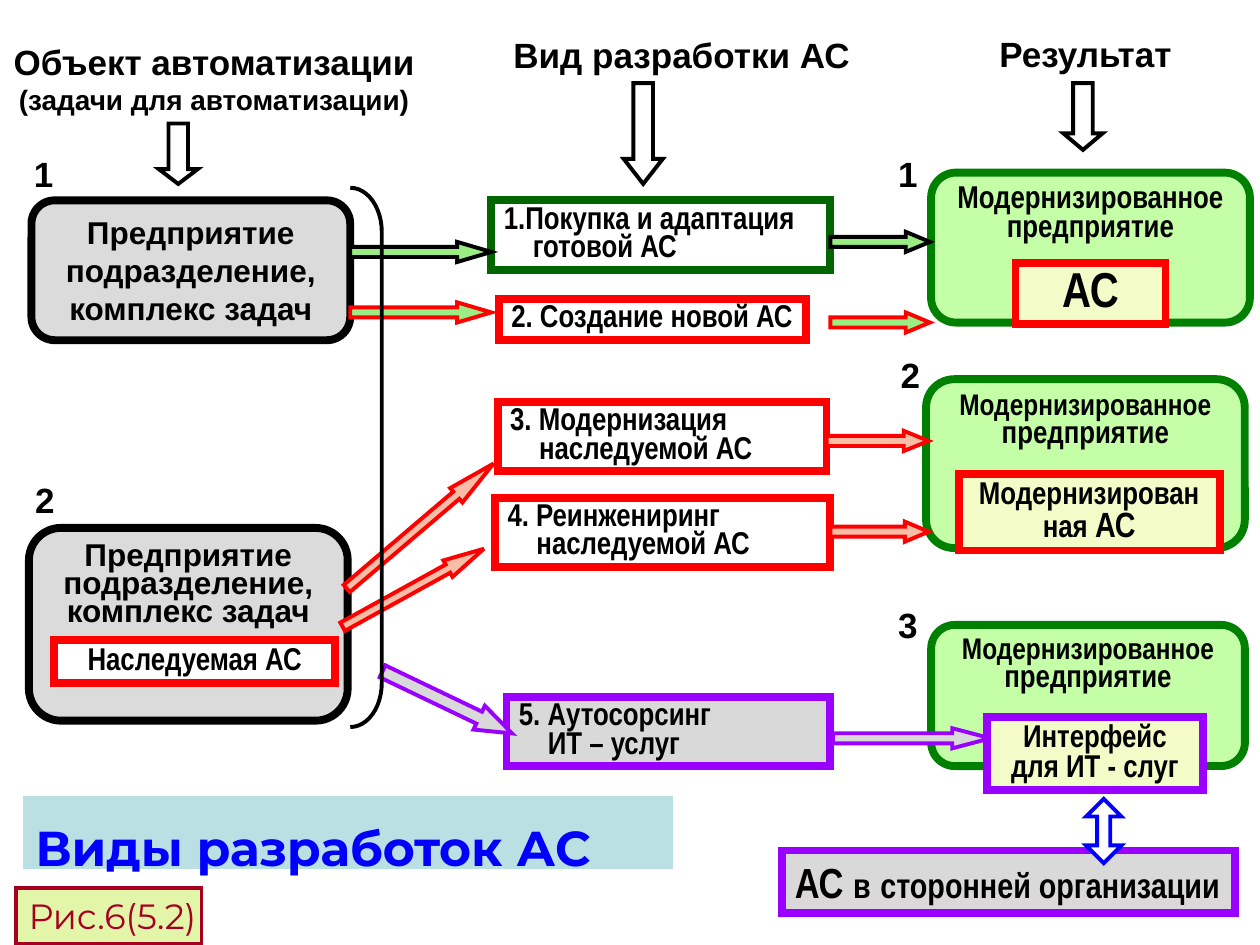
from lxml.etree import SubElement
from pptx import Presentation
from pptx.dml.color import RGBColor
from pptx.enum.shapes import MSO_SHAPE as Shape
from pptx.enum.text import MSO_ANCHOR as Anchor, MSO_AUTO_SIZE as AutoSize, PP_ALIGN as Align
from pptx.oxml.ns import qn
from pptx.util import Inches, Pt

COLORS = {
    "black": "000000", "white": "FFFFFF", "red": "FF0000", "blue": "0000FF",
    "purple": "9900FF", "green": "008000", "dark_green": "006600", "maroon": "A50021",
    "gray": "DBDBDB", "light_gray": "D9D9D9", "mint": "C4FFA7", "leaf": "9AED83",
    "cream": "F3FCC8", "peach": "F8BDA6", "lime": "E3F5A9", "teal": "BBE0E3",
}
NARROW = "Arial Narrow"


def rgb(name):
    """Return the palette colour with this name."""
    return RGBColor.from_string(COLORS[name])


def paint(shape, fill, line, width):
    """Set the fill and the sharp-cornered outline of a shape."""
    if fill:
        shape.fill.solid()
        shape.fill.fore_color.rgb = rgb(fill)
    else:
        shape.fill.background()
    shape.line.color.rgb = rgb(line)
    shape.line.width = Pt(width)
    SubElement(shape._element.spPr.find(qn("a:ln")), qn("a:miter"), lim="800000")


def write(shape, paragraphs, font=NARROW, align=Align.LEFT, spacing=1.0, wrap=True,
          color="black", bold=True, indent=0):
    """Write paragraphs of (text, size) runs, indenting those after the first."""
    frame = shape.text_frame
    frame.word_wrap = wrap
    frame.auto_size = AutoSize.NONE
    frame.vertical_anchor = Anchor.TOP
    for index, runs in enumerate(paragraphs):
        paragraph = frame.paragraphs[0] if index == 0 else frame.add_paragraph()
        paragraph.alignment = align
        paragraph.line_spacing = spacing
        if index and indent:
            paragraph._p.get_or_add_pPr().set("marL", str(Inches(indent)))
        for text, size in runs:
            run = paragraph.add_run()
            run.text = text
            run.font.name = font
            run.font.size = Pt(size)
            run.font.bold = bold
            run.font.color.rgb = rgb(color)


def add_preset(slide, kind, place, fill, line, width, adjustments=(), rotation=0):
    """Add a flat preset shape."""
    shape = slide.shapes.add_shape(kind, *map(Inches, place))
    shape.shadow.inherit = False
    shape.rotation = rotation
    for index, value in enumerate(adjustments):
        shape.adjustments[index] = value
    paint(shape, fill, line, width)
    return shape


def add_box(slide, place, fill, line, paragraphs, kind=Shape.RECTANGLE, width=4.5, **style):
    """Add a thickly framed box with text."""
    write(add_preset(slide, kind, place, fill, line, width), paragraphs, **style)


def add_label(slide, place, paragraphs, align=Align.LEFT):
    """Add a free-standing bold caption."""
    label = slide.shapes.add_textbox(*map(Inches, place))
    write(label, paragraphs, font="Arial", align=align, wrap=False)


def add_arrow(slide, place, fill, line, head, kind=Shape.RIGHT_ARROW, rotation=0):
    """Add a block arrow whose head length is relative to its thickness."""
    add_preset(slide, kind, place, fill, line, 2.25, (0.5, head), rotation)


def add_title(slide):
    """Place and format the title."""
    title = slide.shapes.title
    title.left, title.top, title.width, title.height = map(Inches, (0.18, 6.31, 5.17, 0.59))
    paint(title, "teal", "white", 0.75)
    write(title, [[("Виды разработок АС", 28)]], font="Montserrat", spacing=0.75, color="blue")
    title.text_frame.margin_top = Inches(0.29)
    title.text_frame.margin_bottom = 0


def add_headings(slide):
    """Add the column headings with the arrows below and the item numbers."""
    headings = [
        ((0, 0.27, 3.4, 0.7), [[("Объект автоматизации", 20)], [("(задачи для автоматизации)", 16)]]),
        ((3.97, 0.22, 2.88, 0.44), [[("Вид разработки АС", 20)]]),
        ((7.81, 0.21, 1.61, 0.44), [[("Результат", 20)]]),
    ]
    for place, paragraphs in headings:
        add_label(slide, place, paragraphs, Align.CENTER)
    for left, top, height, head in [(1.26, 0.98, 0.48, 0.38), (4.95, 0.66, 0.8, 0.64),
                                    (8.44, 0.66, 0.53, 0.42)]:
        add_arrow(slide, (left, top, 0.31, height), "white", "black", head, Shape.DOWN_ARROW)
    for number, left, top in [("1", 0.17, 1.16), ("2", 0.18, 3.75), ("1", 7.03, 1.16),
                              ("2", 7.05, 2.76), ("3", 7.03, 4.74)]:
        add_label(slide, (left, top, 0.35, 0.44), [[(number, 20)]])


def add_objects(slide):
    """Add the enterprises that are to be automated."""
    enterprise = [[("Предприятие", 18)], [("подразделение, комплекс задач", 18)]]
    for place, spacing in [((0.25, 1.59, 2.53, 1.11), 1.0), ((0.23, 4.19, 2.53, 1.53), 0.75)]:
        add_box(slide, place, "gray", "black", enterprise, Shape.ROUNDED_RECTANGLE,
                font="Arial", align=Align.CENTER, spacing=spacing)
    add_box(slide, (0.43, 5.08, 2.23, 0.34), "white", "red", [[("Наследуемая АС", 18)]],
            align=Align.CENTER, spacing=0.8)


def add_developments(slide):
    """Add the five kinds of development."""
    developments = [
        ((3.9, 1.59, 2.69, 0.55), None, "dark_green", ["1.Покупка и адаптация", "готовой АС"]),
        ((3.96, 2.37, 2.44, 0.33), None, "red", ["2. Создание новой АС"]),
        ((3.95, 3.19, 2.61, 0.55), None, "red", ["3. Модернизация", "наследуемой АС"]),
        ((3.93, 3.95, 2.66, 0.55), None, "red", ["4. Реинжениринг", "наследуемой АС"]),
        ((4.02, 5.53, 2.57, 0.55), "light_gray", "purple", ["5. Аутосорсинг", "ИТ – услуг"]),
    ]
    for place, fill, line, texts in developments:
        add_box(slide, place, fill, line, [[(text, 18)] for text in texts],
                spacing=0.75, indent=0.23, wrap=len(texts) > 1)


def add_results(slide):
    """Add the modernised enterprises with their systems."""
    results = [
        ((7.39, 1.37, 2.53, 1.19), 18, (8.06, 2.09, 1.19, 0.48), "red", [("АС", 28)]),
        ((7.35, 3.01, 2.53, 1.34), 17, (7.61, 3.76, 2.07, 0.61), "red",
         [("Модернизированная ", 18), ("АС", 20)]),
        ((7.39, 4.96, 2.49, 1.12), 17, (7.83, 5.69, 1.72, 0.58), "purple",
         [("Интерфейс для ИТ - слуг", 18)]),
    ]
    for place, size, system_place, line, system in results:
        add_box(slide, place, "mint", "green", [[("Модернизированное", size)], [("предприятие", 18)]],
                Shape.ROUNDED_RECTANGLE, align=Align.CENTER, spacing=0.75)
        add_box(slide, system_place, "cream", line, [system], align=Align.CENTER, spacing=0.8)
    add_box(slide, (6.21, 6.75, 3.59, 0.5), "light_gray", "purple",
            [[("АС ", 24), ("в", 20), (" ", 24), ("сторонней организации", 20)]], wrap=False)


def add_flows(slide):
    """Add the arrows between the columns and the bracket."""
    flows = [
        ((2.78, 1.92, 1.12, 0.16), "leaf", "black", 1.7, 0),
        ((2.78, 2.4, 1.12, 0.16), "leaf", "red", 1.7, 0),
        ((6.59, 2.48, 0.79, 0.16), "leaf", "red", 1.2, 0),
        ((6.59, 1.84, 0.79, 0.16), "leaf", "black", 1.2, 0),
        ((2.64, 4.59, 1.28, 0.15), "peach", "red", 2.17, 331.1),
        ((2.57, 4.1, 1.53, 0.15), "peach", "red", 2.59, 319.6),
        ((6.59, 4.14, 0.78, 0.16), "peach", "red", 1.18, 0),
        ((6.56, 3.42, 0.81, 0.16), "peach", "red", 1.23, 0),
        ((2.98, 5.47, 1.14, 0.21), "light_gray", "purple", 1.38, 25.6),
        ((6.61, 5.78, 1.25, 0.16), "light_gray", "purple", 1.89, 0),
    ]
    for place, fill, line, head, rotation in flows:
        add_arrow(slide, place, fill, line, head, rotation=rotation)
    add_arrow(slide, (8.62, 6.34, 0.28, 0.51), "white", "blue", 0.37, Shape.UP_DOWN_ARROW)
    add_preset(slide, Shape.RIGHT_BRACKET, (2.78, 1.49, 0.25, 4.28), None, "black", 2.25, (1.4,))


def main():
    """Build and save the slide."""
    deck = Presentation()
    deck.slide_width, deck.slide_height = Inches(10), Inches(7.5)
    slide = deck.slides.add_slide(deck.slide_layouts[5])
    add_title(slide)
    add_headings(slide)
    add_objects(slide)
    add_developments(slide)
    add_results(slide)
    add_flows(slide)
    add_box(slide, (0.13, 7.05, 1.47, 0.44), "lime", "maroon", [[("Рис.6(5.2)", 20)]],
            width=2.25, font="Montserrat", color="maroon", bold=False, wrap=False)
    deck.save("out.pptx")


if __name__ == "__main__":
    main()
